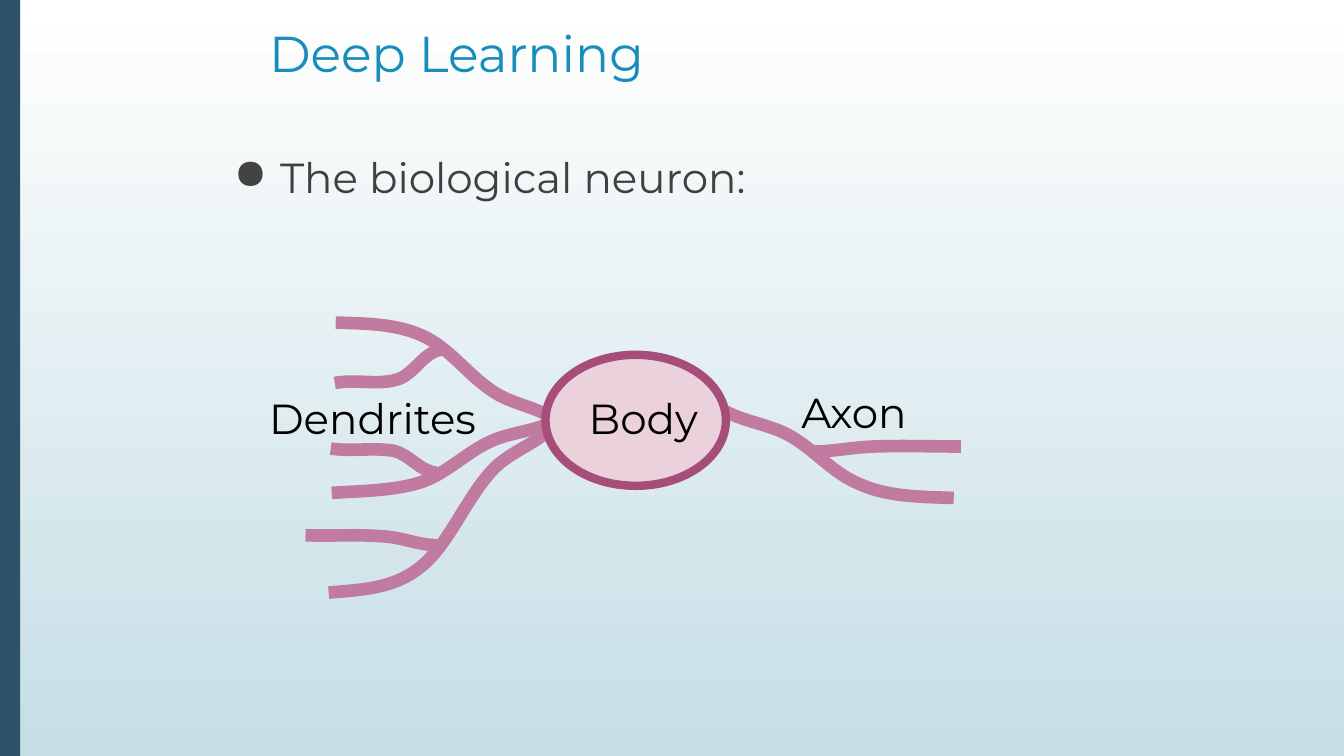
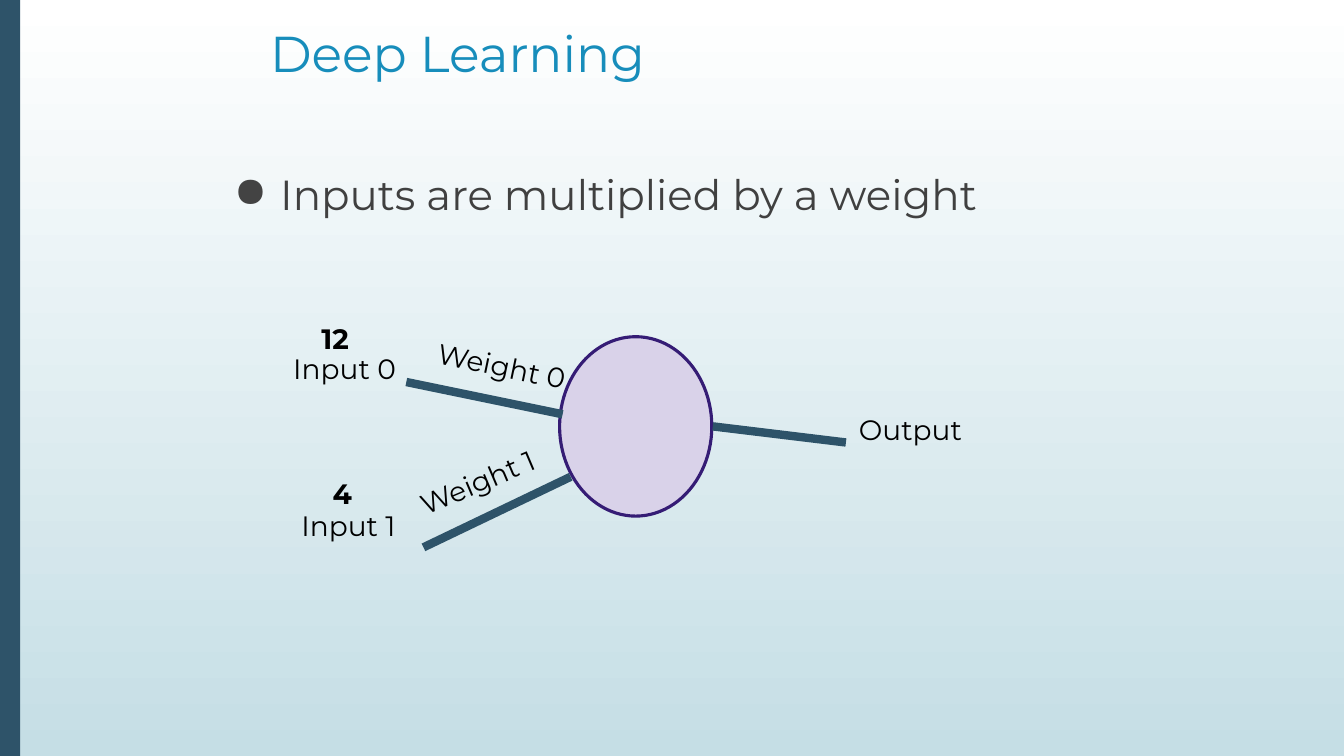
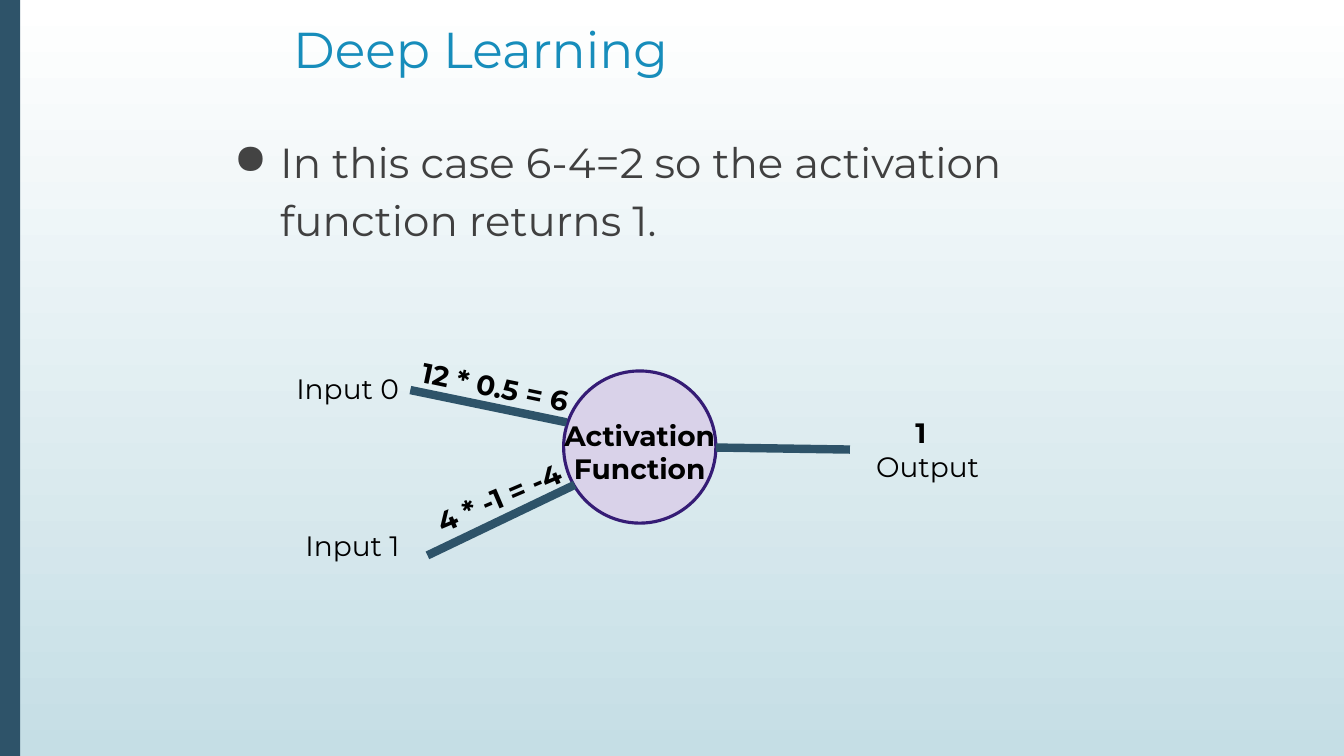
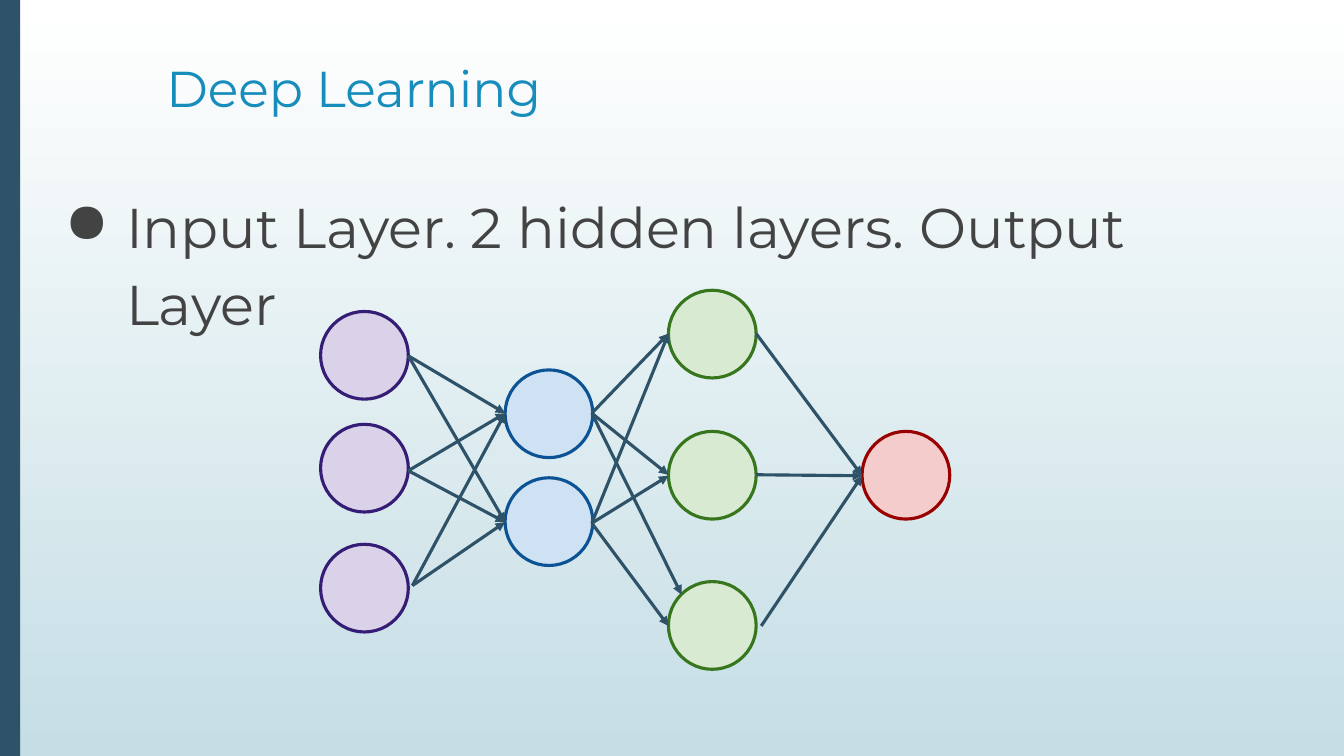
from itertools import product

from lxml import etree
from pptx import Presentation, util as u
from pptx.dml import color
from pptx.enum import shapes, text
from pptx.oxml import ns

FONT = "Montserrat"
NAVY = "2E5369"
BLACK = "000000"
PURPLE = ("D9D2E9", "351C75")
BLUE = ("CFE2F3", "0B5394")
GREEN = ("D9EAD3", "38761D")
RED = ("F4CCCC", "990000")
PINK = ("EAD1DC", "A64D79")
NERVE = "C27BA0"
NODE = 0.87


def rgb(value):
    return color.RGBColor.from_string(value)


def add_element(parent, tag, **attributes):
    return etree.SubElement(parent, ns.qn(tag), **attributes)


class Deck:
    """Holds the shared style and the slide being drawn."""

    def __init__(self):
        self.presentation = Presentation()
        self.presentation.slide_width = u.Inches(13.33)
        self.presentation.slide_height = u.Inches(7.5)
        self.slide = None

    def start(self, title_at, body_at, statement, size=30, ink="404040", hanging=0.46, inset=0.1):
        self.slide = self.presentation.slides.add_slide(self.presentation.slide_layouts[6])
        fill = self.slide.background.fill
        fill.gradient()
        fill.gradient_angle = 270
        for stop, position, value in zip(fill.gradient_stops, (0, 1), ("FFFFFF", "C5DEE5")):
            stop.position = position
            stop.color.rgb = rgb(value)
        self.shape(shapes.MSO_SHAPE.RECTANGLE, (0, 0, 0.2, 7.5), NAVY)
        self.label("Deep Learning", title_at, 36, "178DBB", inset=inset)
        self.label(statement, body_at, size, ink, inset=inset, hanging=hanging)

    def shape(self, kind, at, fill, line=None, width=2.25):
        shape = self.slide.shapes.add_shape(kind, *map(u.Inches, at))
        shape.shadow.inherit = False
        shape.fill.solid()
        shape.fill.fore_color.rgb = rgb(fill)
        if line:
            shape.line.color.rgb = rgb(line)
            shape.line.width = u.Pt(width)
        else:
            shape.line.fill.background()

    def ellipse(self, at, colours, width=2.25):
        self.shape(shapes.MSO_SHAPE.OVAL, at, *colours, width)

    def label(self, words, at, size=20, ink=BLACK, bold=False, angle=0, centred=False,
              inset=0.1, hanging=None):
        box = self.slide.shapes.add_textbox(*map(u.Inches, at))
        box.rotation = angle
        frame = box.text_frame
        frame.word_wrap = True
        frame.margin_left = frame.margin_right = u.Inches(inset)
        frame.margin_top = frame.margin_bottom = u.Inches(inset)
        frame.text = words
        for paragraph in frame.paragraphs:
            if hanging:
                self.bullet(paragraph, hanging)
            if centred:
                paragraph.alignment = text.PP_ALIGN.CENTER
            paragraph.font.name = FONT
            paragraph.font.size = u.Pt(size)
            paragraph.font.bold = bold
            paragraph.font.color.rgb = rgb(ink)

    def bullet(self, paragraph, hanging):
        paragraph.line_spacing = 1.15
        properties = paragraph._p.get_or_add_pPr()
        properties.set("marL", str(u.Inches(0.67)))
        properties.set("indent", str(-u.Inches(hanging)))
        add_element(add_element(properties, "a:buClr"), "a:srgbClr", val="434343")
        add_element(properties, "a:buChar", char="●")

    def line(self, start, end, width=6, arrow=False):
        connector = self.slide.shapes.add_connector(
            shapes.MSO_CONNECTOR.STRAIGHT, *map(u.Inches, (*start, *end)))
        connector.line.color.rgb = rgb(NAVY)
        connector.line.width = u.Pt(width)
        if arrow:
            add_element(connector.line._get_or_add_ln(), "a:tailEnd", type="triangle")
        add_element(connector._element.spPr, "a:effectLst")

    def nerve(self, start, *points):
        builder = self.slide.shapes.build_freeform(*map(u.Inches, start))
        builder.add_line_segments([tuple(map(u.Inches, p)) for p in points], close=False)
        shape = builder.convert_to_shape()
        segments = list(shape._element.iter(ns.qn("a:lnTo")))
        for index in range(0, len(segments), 3):
            curve = etree.Element(ns.qn("a:cubicBezTo"))
            segments[index].addprevious(curve)
            for segment in segments[index:index + 3]:
                curve.append(segment[0])
                segment.getparent().remove(segment)
        shape.shadow.inherit = False
        shape.fill.background()
        shape.line.color.rgb = rgb(NERVE)
        shape.line.width = u.Pt(9)

    def neuron(self, left, top, body_height, first_input, output_end, output_start):
        self.ellipse((left, top, 1.51, body_height), PURPLE)
        x, y = first_input
        self.line((x + 1.55, y + 0.32), first_input)
        self.line((x + 1.63, y + 0.94), (x + 0.17, y + 1.64))
        self.line(output_end, output_start)


def biological_neuron(deck):
    deck.start((2.57, 0.12, 8.52, 0.63), (2.01, 1.33, 9.32, 5.33), "The biological neuron:")
    nerves = [
        [(5.53, 4.18), (5.36, 4.05), (5.13, 4.02), (4.95, 3.92), (4.68, 3.77),
         (4.5, 3.49), (4.23, 3.35), (3.96, 3.21), (3.63, 3.21), (3.33, 3.2)],
        [(4.37, 3.47), (4.19, 3.5), (4.1, 3.73), (3.92, 3.77), (3.73, 3.82),
         (3.52, 3.76), (3.32, 3.8)],
        [(5.49, 4.18), (5.32, 4.27), (5.09, 4.29), (4.91, 4.36), (4.64, 4.47),
         (4.46, 4.68), (4.19, 4.78), (3.92, 4.87), (3.59, 4.87), (3.29, 4.89)],
        [(4.33, 4.69), (4.15, 4.67), (4.06, 4.5), (3.89, 4.47), (3.69, 4.44),
         (3.48, 4.48), (3.28, 4.45)],
        [(5.53, 4.18), (5.36, 4.39), (5.12, 4.45), (4.93, 4.62), (4.65, 4.88),
         (4.47, 5.38), (4.19, 5.61), (3.91, 5.85), (3.57, 5.85), (3.26, 5.88)],
        [(4.33, 5.41), (4.11, 5.4), (4, 5.33), (3.78, 5.32), (3.54, 5.3),
         (3.28, 5.32), (3.03, 5.31)],
        [(7.16, 4.06), (7.34, 4.17), (7.57, 4.2), (7.77, 4.29), (8.05, 4.42),
         (8.23, 4.68), (8.52, 4.8), (8.8, 4.93), (9.14, 4.93), (9.46, 4.94)],
        [(8.04, 4.48), (8.29, 4.48), (8.42, 4.44), (8.67, 4.43), (8.95, 4.42),
         (9.25, 4.43), (9.53, 4.43)],
    ]
    for points in nerves:
        deck.nerve(*points)
    deck.ellipse((5.41, 3.52, 1.79, 1.3), PINK, 6)
    deck.label("Axon", (7.85, 3.73, 1.74, 0.67), 30)
    deck.label("Body", (5.74, 3.79, 1.74, 0.67), 30)
    deck.label("Dendrites", (2.57, 3.79, 2.28, 0.67), 30)


def weighted_inputs(deck):
    deck.start((2.58, 0.12, 8.52, 0.63), (2.01, 1.5, 9.32, 4.41),
               "Inputs are multiplied by a weight")
    deck.neuron(5.55, 3.34, 1.78, (4.03, 3.79), (8.39, 4.39), (7.07, 4.23))
    deck.label("Input 0", (2.81, 3.39, 2.28, 0.79))
    deck.label("Input 1", (2.89, 4.94, 2.28, 0.79))
    deck.label("Output", (8.42, 3.99, 2.28, 0.79))
    deck.label("Weight 0", (4.21, 3.36, 1.51, 0.79), angle=11.8)
    deck.label("Weight 1", (4.08, 4.48, 1.51, 0.79), angle=337)
    deck.label("12", (3.09, 3.09, 0.59, 0.79), bold=True)
    deck.label("4", (3.2, 4.63, 0.48, 0.79), bold=True)


def activation(deck):
    deck.start((2.81, 0.08, 8.52, 0.63), (2.01, 1.18, 9.32, 2.27),
               "In this case 6-4=2 so the activation function returns 1.")
    deck.neuron(5.59, 3.68, 1.51, (4.07, 3.87), (8.43, 4.46), (7.1, 4.44))
    deck.label("Input 0", (2.84, 3.59, 2.28, 0.67))
    deck.label("Input 1", (2.93, 5.14, 2.28, 0.67))
    deck.label("Activation\nFunction", (5.49, 4.05, 1.71, 0.67), bold=True, centred=True)
    deck.label("12 * 0.5 = 6", (4.06, 3.58, 1.81, 0.67), bold=True, angle=11.8)
    deck.label("4 * -1 = -4", (4.21, 4.59, 1.86, 0.67), bold=True, angle=337)
    deck.label("Output", (8.59, 4.36, 2.28, 0.67))
    deck.label("1", (8.98, 4.02, 1.31, 0.67), bold=True)


def network(deck):
    deck.start((1.52, 0.44, 11.36, 0.84), (0.45, 1.68, 12.42, 4.98),
               "Input Layer. 2 hidden layers. Output Layer",
               size=40, ink="434343", hanging=0.61, inset=0.13)
    layers = [
        (3.18, (3.09, 4.21, 5.4), PURPLE),
        (5.01, (3.67, 4.74), BLUE),
        (6.63, (2.88, 4.28, 5.77), GREEN),
        (8.55, (4.28,), RED),
    ]
    for left, tops, colours in layers:
        for top in tops:
            deck.ellipse((left, top, NODE, NODE), colours)
    bundles = [
        ([(4.05, 3.53), (4.05, 4.67), (4.09, 5.81)], [(5.01, 4.1), (5.01, 5.18)]),
        ([(5.87, 4.1)], [(6.63, 3.31), (6.63, 4.71), (6.76, 5.9)]),
        ([(5.87, 5.19)], [(6.63, 3.31), (6.63, 4.72), (6.63, 6.21)]),
        ([(7.5, 3.31), (7.5, 4.71), (7.55, 6.21)], [(8.55, 4.72)]),
    ]
    for exits, entries in bundles:
        for start, end in product(exits, entries):
            deck.line(start, end, 2.25, arrow=True)


def main():
    deck = Deck()
    for draw in (biological_neuron, weighted_inputs, activation, network):
        draw(deck)
    deck.presentation.save("out.pptx")


if __name__ == "__main__":
    main()
